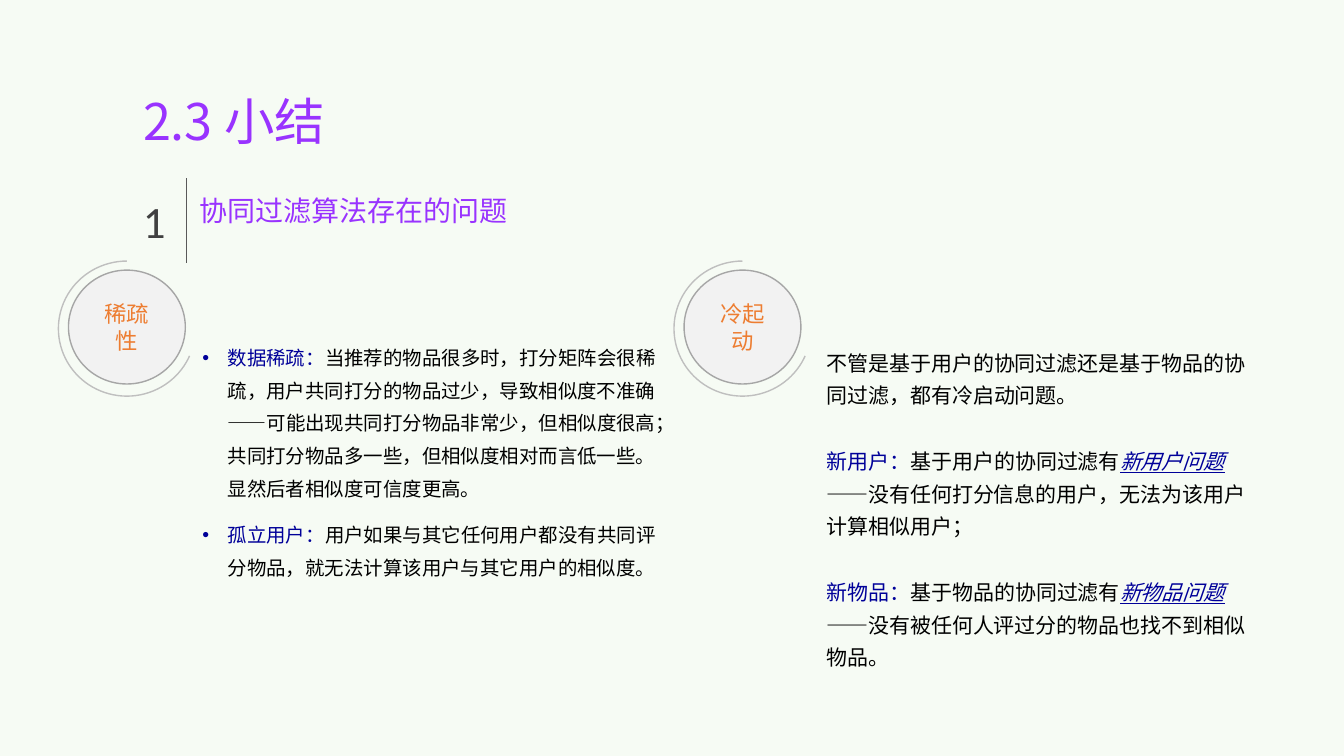
from dataclasses import dataclass

from lxml import etree
from pptx import Presentation
from pptx import util as u
from pptx.dml.color import RGBColor
from pptx.enum import shapes, text
from pptx.oxml import ns


@dataclass(frozen=True)
class Theme:
    """Fonts, colours and type sizes of the slide."""
    cjk: str = "Noto Sans CJK SC"
    latin: str = "Calibri"
    background: str = "F6FBF4"
    heading: str = "9933FF"
    number: str = "404040"
    divider: str = "595959"
    term: str = "000099"
    body: str = "000000"
    badge_text: str = "ED7D31"
    badge_fill: str = "F2F2F2"
    badge_line: str = "A6A6A6"
    arc: str = "BFBFBF"
    title_size: float = 36
    number_size: float = 32
    subtitle_size: float = 20
    badge_size: float = 16
    problems_size: float = 13.9
    cold_start_size: float = 15


THEME = Theme()

PROBLEMS = [
    [("数据稀疏：", "term"),
     ("当推荐的物品很多时，打分矩阵会很稀疏，用户共同打分的物品过少，导致相似度不准确"
      "——可能出现共同打分物品非常少，但相似度很高；共同打分物品多一些，"
      "但相似度相对而言低一些。显然后者相似度可信度更高。", "plain")],
    [("孤立用户：", "term"),
     ("用户如果与其它任何用户都没有共同评分物品，就无法计算该用户与其它用户的相似度。", "plain")],
]
COLD_START = [
    [("不管是基于用户的协同过滤还是基于物品的协同过滤，都有冷启动问题。", "plain")],
    [("新用户：", "term"), ("基于用户的协同过滤有", "plain"), ("新用户问题", "emphasis"),
     ("——没有任何打分信息的用户，无法为该用户计算相似用户；", "plain")],
    [("新物品：", "term"), ("基于物品的协同过滤有", "plain"), ("新物品问题", "emphasis"),
     ("——没有被任何人评过分的物品也找不到相似物品。", "plain")],
]


def place(shape, left, top, width, height):
    """Move and size a shape, in inches."""
    shape.left, shape.top = u.Inches(left), u.Inches(top)
    shape.width, shape.height = u.Inches(width), u.Inches(height)


def style_run(run, size, color, font=THEME.cjk):
    """Set size, colour and both script fonts of a run."""
    run.font.size = u.Pt(size)
    run.font.color.rgb = RGBColor.from_string(color)
    run.font.name = font
    east_asian = etree.SubElement(run.font._element, ns.qn("a:ea"))
    east_asian.set("typeface", THEME.cjk)


def write_line(frame, words, size, color, font=THEME.cjk, align=text.PP_ALIGN.LEFT):
    """Write one styled paragraph into a text frame."""
    frame.text = words
    frame.word_wrap = True
    frame.paragraphs[0].alignment = align
    style_run(frame.paragraphs[0].runs[0], size, color, font)


def set_bullet(paragraph, bulleted):
    """Give a paragraph a hanging bullet, or remove its bullet."""
    properties = paragraph._p.get_or_add_pPr()
    indent = u.Inches(0.25) if bulleted else 0
    properties.set("marL", str(indent))
    properties.set("indent", str(-indent))
    if not bulleted:
        etree.SubElement(properties, ns.qn("a:buNone"))
        return
    bullet_color = etree.SubElement(properties, ns.qn("a:buClr"))
    etree.SubElement(bullet_color, ns.qn("a:srgbClr")).set("val", THEME.term)
    etree.SubElement(properties, ns.qn("a:buFont")).set("typeface", "Arial")
    etree.SubElement(properties, ns.qn("a:buChar")).set("char", "•")


def fill_body(body, box, paragraphs, size, line_spacing, gap, bulleted=False):
    """Place a body placeholder and write its mixed-style paragraphs."""
    place(body, *box)
    frame = body.text_frame
    frame.auto_size = text.MSO_AUTO_SIZE.NONE
    frame.word_wrap = True
    for index, segments in enumerate(paragraphs):
        paragraph = frame.add_paragraph() if index else frame.paragraphs[0]
        paragraph.line_spacing = line_spacing
        paragraph.space_before = u.Pt(gap if index else 0)
        set_bullet(paragraph, bulleted)
        for words, role in segments:
            run = paragraph.add_run()
            run.text = words
            style_run(run, size, THEME.body if role == "plain" else THEME.term)
            if role == "emphasis":
                run.font.italic = run.font.underline = True


def add_label(slide, box, words, size, color, font):
    """Add a one-line text box."""
    label = slide.shapes.add_textbox(*map(u.Inches, box))
    write_line(label.text_frame, words, size, color, font)


def add_divider(slide, x, top, bottom):
    """Add the thin vertical line beside the section number."""
    divider = slide.shapes.add_connector(
        shapes.MSO_CONNECTOR.STRAIGHT, *map(u.Inches, (x, top, x, bottom)))
    divider.line.color.rgb = RGBColor.from_string(THEME.divider)
    divider.line.width = u.Pt(1)
    etree.SubElement(divider._element.spPr, ns.qn("a:effectLst"))


def add_round(slide, preset, box, line_color):
    """Add an outlined round shape without shadow."""
    outline = slide.shapes.add_shape(preset, *map(u.Inches, box))
    outline.shadow.inherit = False
    outline.fill.background()
    outline.line.color.rgb = RGBColor.from_string(line_color)
    outline.line.width = u.Pt(1)
    return outline


def add_badge(slide, left, words):
    """Add a labelled disc with an open arc around it."""
    arc = add_round(slide, shapes.MSO_SHAPE.ARC, (left, 2.59, 1.36, 1.34), THEME.arc)
    arc.adjustments[0], arc.adjustments[1] = 23.5 * 0.6, 270 * 0.6
    disc = add_round(slide, shapes.MSO_SHAPE.OVAL, (left + 0.1, 2.68, 1.16, 1.13),
                     THEME.badge_line)
    disc.fill.solid()
    disc.fill.fore_color.rgb = RGBColor.from_string(THEME.badge_fill)
    disc.text_frame.vertical_anchor = text.MSO_ANCHOR.MIDDLE
    write_line(disc.text_frame, words, THEME.badge_size, THEME.badge_text,
               THEME.latin, text.PP_ALIGN.CENTER)


def main():
    """Build the summary slide and save it."""
    deck = Presentation()
    deck.slide_width, deck.slide_height = u.Inches(13.34), u.Inches(7.5)
    slide = deck.slides.add_slide(deck.slide_layouts.get_by_name("Two Content"))
    slide.background.fill.solid()
    slide.background.fill.fore_color.rgb = RGBColor.from_string(THEME.background)

    title, problems, cold_start = slide.placeholders
    place(title, 1.32, 0.84, 6.16, 0.7)
    title.text_frame.auto_size = text.MSO_AUTO_SIZE.NONE
    title.text_frame.vertical_anchor = text.MSO_ANCHOR.TOP
    write_line(title.text_frame, "2.3 小结", THEME.title_size, THEME.heading)

    add_label(slide, (1.32, 1.87, 0.45, 0.64), "1",
              THEME.number_size, THEME.number, THEME.latin)
    add_label(slide, (1.88, 1.87, 3.42, 0.44), "协同过滤算法存在的问题",
              THEME.subtitle_size, THEME.heading, THEME.cjk)
    add_divider(slide, 1.85, 1.77, 2.61)
    for left, words in ((0.58, "稀疏性"), (6.69, "冷起动")):
        add_badge(slide, left, words)

    fill_body(problems, (1.91, 3.29, 4.73, 3.24), PROBLEMS,
              THEME.problems_size, 1.4, 10, bulleted=True)
    fill_body(cold_start, (8.1, 3.35, 4.4, 3.85), COLD_START,
              THEME.cold_start_size, 1.3, 23.4)
    deck.save("out.pptx")


if __name__ == "__main__":
    main()
